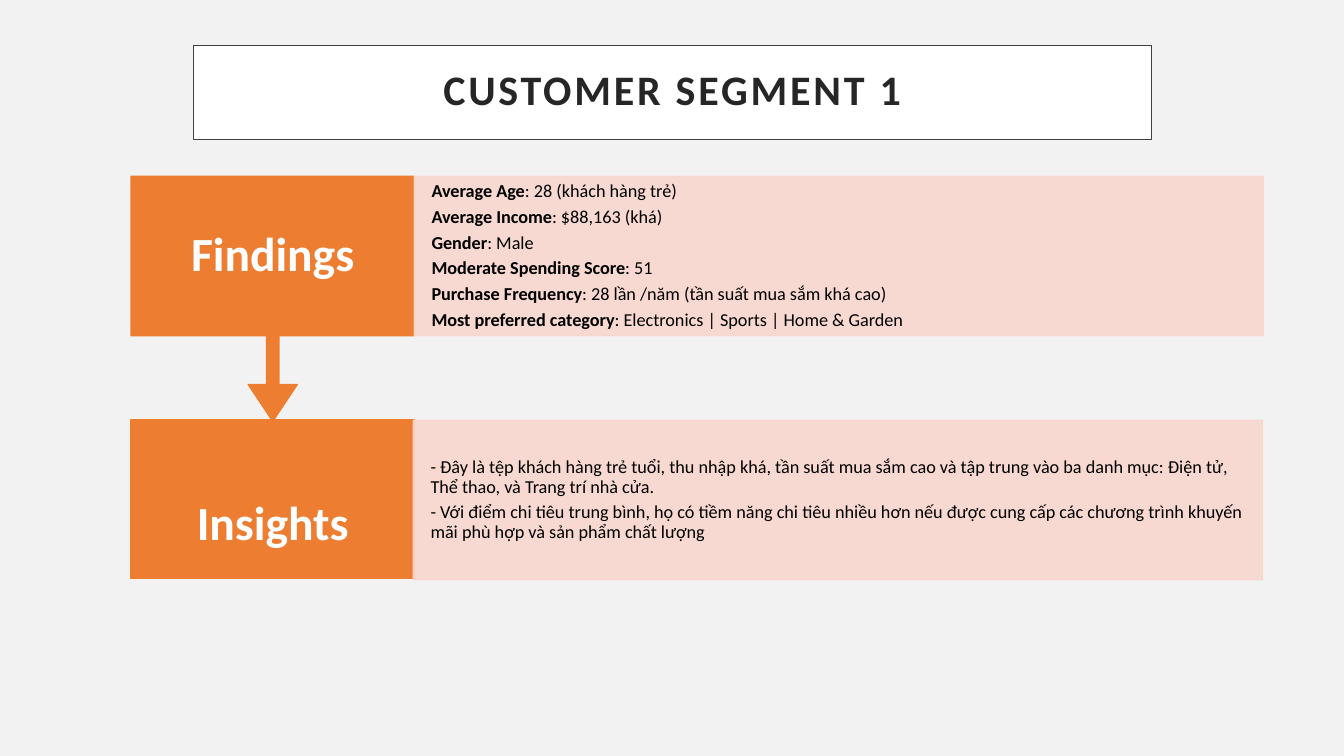
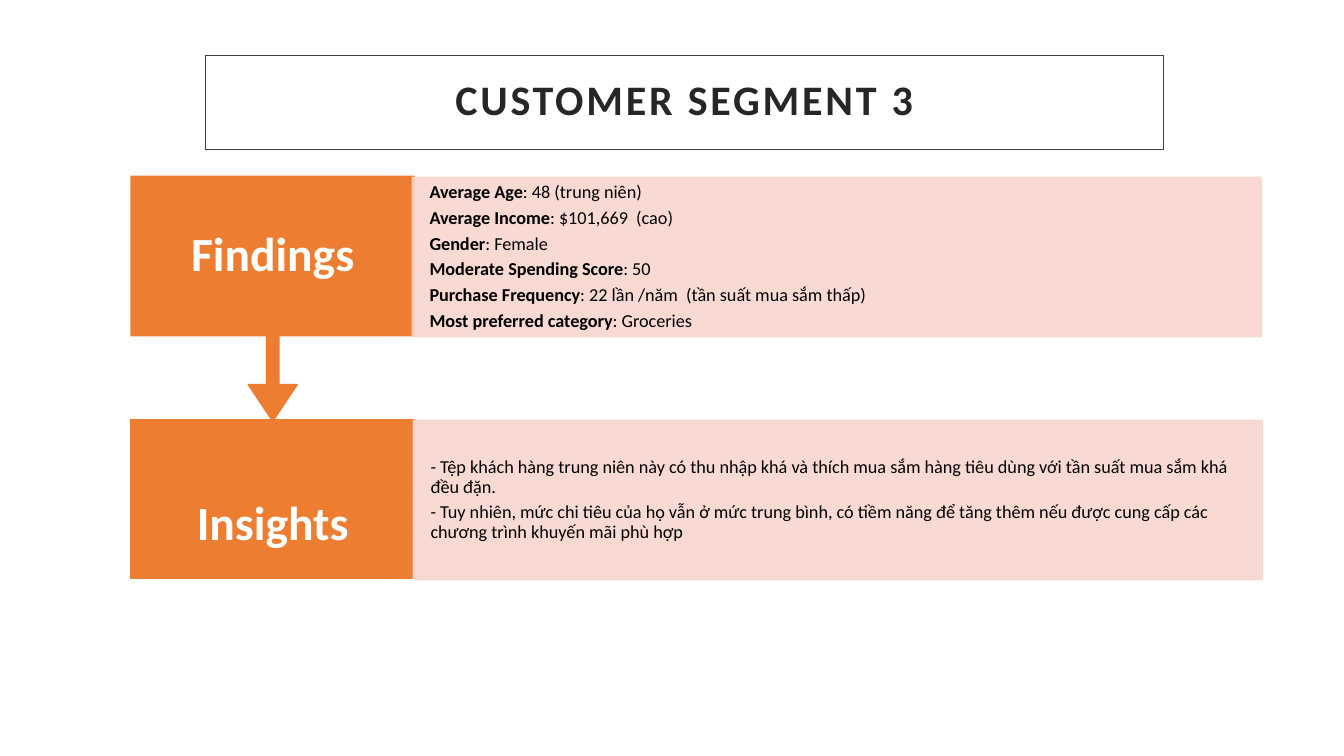
from lxml.etree import SubElement
from pptx import Presentation
from pptx.dml.color import RGBColor
from pptx.enum.shapes import MSO_SHAPE as Preset
from pptx.enum.text import MSO_ANCHOR as Anchor, MSO_AUTO_SIZE as AutoSize, PP_ALIGN as Align
from pptx.oxml.ns import qn
from pptx.util import Inches, Pt

# Shared look
FONT = "Calibri"
ORANGE = RGBColor(0xED, 0x7D, 0x31)
PINK = RGBColor(0xF8, 0xD7, 0xCE)
WHITE = RGBColor(0xFF, 0xFF, 0xFF)
BLACK = RGBColor(0x00, 0x00, 0x00)
GRAY = RGBColor(0xF2, 0xF2, 0xF2)
FRAME = RGBColor(0x40, 0x40, 0x40)
TITLE_INK = RGBColor(0x26, 0x26, 0x26)
TWO_CONTENT = 3

# Shared grid, in inches
LABEL_LEFT, LABEL_WIDTH = 1.3, 2.81
BAND_WIDTH, BAND_HEIGHT = 8.42, 1.58
FINDINGS_TOP, INSIGHTS_TOP = 1.75, 4.16
CALLOUT_HEIGHT = 2.43
TITLE_SIZE = (9.5, 0.93)

SEGMENTS = [
    {
        "title": "CUSTOMER SEGMENT 1",
        "background": GRAY,
        "title_at": (1.92, 0.45),
        "findings_at": (4.11, 1.75),
        "findings": [
            ("Average Age", "28 (khách hàng trẻ)"),
            ("Average Income", "$88,163 (khá)"),
            ("Gender", "Male"),
            ("Moderate Spending Score", "51"),
            ("Purchase Frequency", "28 lần /năm (tần suất mua sắm khá cao)"),
            ("Most preferred category", "Electronics | Sports | Home & Garden"),
        ],
        "insights": [
            "- Đây là tệp khách hàng trẻ tuổi, thu nhập khá, tần suất mua sắm cao "
            "và tập trung vào ba danh mục: Điện tử, Thể thao, và Trang trí nhà cửa.",
            "- Với điểm chi tiêu trung bình, họ có tiềm năng chi tiêu nhiều hơn nếu "
            "được cung cấp các chương trình khuyến mãi phù hợp và sản phẩm chất lượng",
        ],
    },
    {
        "title": "CUSTOMER SEGMENT 3",
        "background": WHITE,
        "title_at": (2.04, 0.55),
        "findings_at": (4.09, 1.76),
        "findings": [
            ("Average Age", "48 (trung niên)"),
            ("Average Income", "$101,669  (cao)"),
            ("Gender", "Female"),
            ("Moderate Spending Score", "50"),
            ("Purchase Frequency", "22 lần /năm  (tần suất mua sắm thấp)"),
            ("Most preferred category", "Groceries"),
        ],
        "insights": [
            "- Tệp khách hàng trung niên này có thu nhập khá và thích mua sắm hàng "
            "tiêu dùng với tần suất mua sắm khá đều đặn.",
            "- Tuy nhiên, mức chi tiêu của họ vẫn ở mức trung bình, có tiềm năng để "
            "tăng thêm nếu được cung cấp các chương trình khuyến mãi phù hợp",
        ],
    },
]


def place(shape, left, top, width, height):
    shape.left, shape.top = Inches(left), Inches(top)
    shape.width, shape.height = Inches(width), Inches(height)


def paint(shape, fill, line, weight=1, alpha=None):
    """Fill and outline a shape, optionally at an opacity in percent."""
    shape.fill.solid()
    shape.fill.fore_color.rgb = fill
    shape.line.color.rgb = line
    shape.line.width = Pt(weight)
    if alpha is not None:
        for color in shape.element.spPr.iter(qn("a:srgbClr")):
            SubElement(color, qn("a:alpha")).set("val", str(alpha * 1000))


def write(shape, paragraphs, *, size, color, bold=False, align=Align.LEFT,
          insets=(0.17, 0.18, 0.17, 0.18), after=0, tracking=None):
    """Write paragraphs, each a list of (text, bold) spans or a plain string."""
    frame = shape.text_frame
    frame.word_wrap = True
    frame.auto_size = AutoSize.NONE
    frame.vertical_anchor = Anchor.MIDDLE
    (frame.margin_left, frame.margin_top,
     frame.margin_right, frame.margin_bottom) = map(Inches, insets)
    for index, spans in enumerate(paragraphs):
        para = frame.paragraphs[0] if index == 0 else frame.add_paragraph()
        para.alignment = align
        para.line_spacing = 0.9
        para.space_before, para.space_after = Pt(0), Pt(after)
        # Plain paragraphs, without the bullets of the layout
        properties = para._p.get_or_add_pPr()
        properties.set("marL", "0")
        properties.set("indent", "0")
        SubElement(properties, qn("a:buNone"))
        for text, strong in [(spans, bold)] if isinstance(spans, str) else spans:
            span = para.add_run()
            span.text = text
            font = span.font
            font.name, font.size, font.bold = FONT, Pt(size), strong
            font.color.rgb = color
            if tracking:
                span._r.get_or_add_rPr().set("spc", str(tracking * 100))


def add_block(page, preset, top, height):
    block = page.shapes.add_shape(preset, Inches(LABEL_LEFT), Inches(top),
                                  Inches(LABEL_WIDTH), Inches(height))
    block.shadow.inherit = False
    paint(block, ORANGE, ORANGE)
    return block


def write_label(box, text, top_inset=0.26):
    write(box, [text], size=34, color=WHITE, bold=True, align=Align.CENTER,
          insets=(0.2, top_inset, 0.2, 0.26))


def fill_band(band, position, paragraphs):
    place(band, *position, BAND_WIDTH, BAND_HEIGHT)
    paint(band, PINK, PINK, alpha=90)
    write(band, paragraphs, size=13, color=BLACK, after=4.3)
    # Bring the band in front of the orange blocks
    band.element.getparent().append(band.element)


def add_segment(deck, segment):
    page = deck.slides.add_slide(deck.slide_layouts[TWO_CONTENT])
    page.background.fill.solid()
    page.background.fill.fore_color.rgb = segment["background"]
    title, findings, insights = page.placeholders

    # Framed title
    place(title, *segment["title_at"], *TITLE_SIZE)
    paint(title, WHITE, FRAME, weight=0.75)
    write(title, [segment["title"]], size=30, color=TITLE_INK, bold=True,
          align=Align.CENTER, insets=(0.2,) * 4, tracking=2)

    # Insights row, its label set low in the block
    block = add_block(page, Preset.RECTANGLE, INSIGHTS_TOP, BAND_HEIGHT)
    write_label(block, "Insights", top_inset=0.78)
    fill_band(insights, (4.1, 4.17), segment["insights"])

    # Findings row, with an arrow down to the insights
    callout = add_block(page, Preset.UP_ARROW_CALLOUT, FINDINGS_TOP, CALLOUT_HEIGHT)
    callout.rotation = 180
    for index, value in enumerate((0.05, 0.1, 0.15, 0.65)):
        callout.adjustments[index] = value
    label = page.shapes.add_textbox(Inches(LABEL_LEFT), Inches(FINDINGS_TOP),
                                    Inches(LABEL_WIDTH), Inches(BAND_HEIGHT))
    write_label(label, "Findings")
    fill_band(findings, segment["findings_at"],
              [[(name, True), (f": {value}", False)]
               for name, value in segment["findings"]])


def main():
    deck = Presentation()
    deck.slide_width, deck.slide_height = Inches(13.33), Inches(7.5)
    for segment in SEGMENTS:
        add_segment(deck, segment)
    deck.save("out.pptx")


if __name__ == "__main__":
    main()
